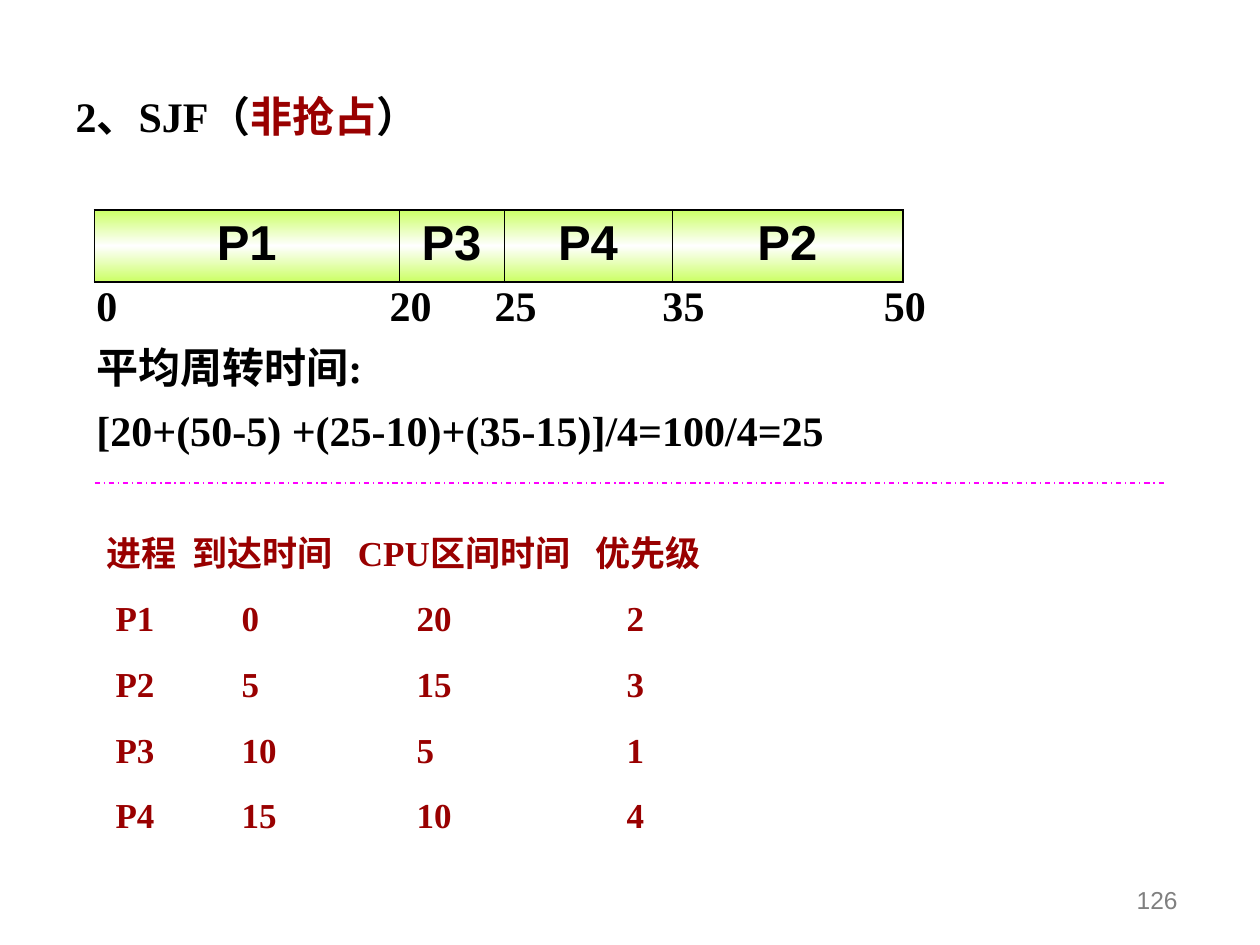
from dataclasses import dataclass
from typing import Any

from lxml import etree
from pptx import Presentation
from pptx.dml.color import RGBColor
from pptx.enum.dml import MSO_LINE
from pptx.enum.shapes import MSO_CONNECTOR
from pptx.enum.text import MSO_ANCHOR, MSO_AUTO_SIZE, PP_ALIGN
from pptx.oxml.ns import qn
from pptx.util import Pt

BLACK = RGBColor(0x00, 0x00, 0x00)
DARK_RED = RGBColor(0x99, 0x00, 0x00)
GRAY = RGBColor(0x80, 0x80, 0x80)
MAGENTA = RGBColor(0xFF, 0x00, 0xFF)
LIME = RGBColor(0xCC, 0xFF, 0x66)
WHITE = RGBColor(0xFF, 0xFF, 0xFF)

LEFT, CENTER, RIGHT = PP_ALIGN.LEFT, PP_ALIGN.CENTER, PP_ALIGN.RIGHT
TOP, BOTTOM = MSO_ANCHOR.TOP, MSO_ANCHOR.BOTTOM
NO_AUTOFIT = MSO_AUTO_SIZE.NONE
STRAIGHT = MSO_CONNECTOR.STRAIGHT
DASH_DOT = MSO_LINE.DASH_DOT

HEADING = {"name": "Times New Roman", "size": Pt(24), "bold": True}
LISTING = {"name": "Times New Roman", "size": Pt(20), "bold": True}
GANTT = {"name": "Arial", "size": Pt(28), "bold": True}
NUMBER = {"name": "Arial", "size": Pt(14), "bold": False}

OUTER_BORDER, INNER_BORDER = 1.08, 0.45


@dataclass(frozen=True)
class Box:
    left: float
    top: float
    width: float
    height: float


@dataclass(frozen=True)
class Line:
    text: str
    tabs: tuple[float, ...] = ()


@dataclass(frozen=True)
class Segment:
    process: str
    width: float


TIME_TABS = (167.5, 227.5, 323.5, 450)
HEADER_TABS = (49, 143.5, 279)
ROW_TABS = (5, 77, 177, 297)

SEGMENTS = (
    Segment("P1", 174),
    Segment("P3", 60),
    Segment("P4", 96),
    Segment("P2", 132),
)
TURNAROUND = (
    Line("0\t20\t25\t35\t50", TIME_TABS),
    Line("平均周转时间:"),
    Line("[20+(50-5) +(25-10)+(35-15)]/4=100/4=25"),
)
PROCESSES = (
    ("P1", 0, 20, 2),
    ("P2", 5, 15, 3),
    ("P3", 10, 5, 1),
    ("P4", 15, 10, 4),
)
PROCESS_LINES = (
    Line("进程\t到达时间\tCPU区间时间\t优先级", HEADER_TABS),
    *(Line("".join(f"\t{value}" for value in row), ROW_TABS) for row in PROCESSES),
)


def add_run(paragraph: Any, text: str, style: dict[str, Any], color: RGBColor) -> None:
    run = paragraph.add_run()
    run.text = text
    for name, value in style.items():
        setattr(run.font, name, value)
    run.font.color.rgb = color


def add_tabs(paragraph: Any, tabs: tuple[float, ...]) -> None:
    tab_list = etree.SubElement(paragraph._p.get_or_add_pPr(), qn("a:tabLst"))
    for position in tabs:
        etree.SubElement(tab_list, qn("a:tab"), pos=str(int(Pt(position))), algn="l")


def place(shape: Any, box: Box) -> None:
    for name in ("left", "top", "width", "height"):
        setattr(shape, name, Pt(getattr(box, name)))


def add_title(slide: Any, box: Box) -> None:
    title = slide.shapes.title
    place(title, box)
    frame = title.text_frame
    settings = {"auto_size": NO_AUTOFIT, "vertical_anchor": TOP, "word_wrap": True}
    for name, value in settings.items():
        setattr(frame, name, value)
    paragraph = frame.paragraphs[0]
    paragraph.alignment = LEFT
    for text, color in (("2、SJF（", BLACK), ("非抢占", DARK_RED), ("）", BLACK)):
        add_run(paragraph, text, HEADING, color)


def add_text(slide: Any, box: Box, lines: tuple[Line, ...], style: dict[str, Any],
             color: RGBColor, gap: float = 0, alignment: Any = LEFT,
             anchor: Any = TOP) -> None:
    shape = slide.shapes.add_textbox(0, 0, 0, 0)
    place(shape, box)
    frame = shape.text_frame
    frame.word_wrap = True
    frame.vertical_anchor = anchor
    for index, line in enumerate(lines):
        paragraph = frame.add_paragraph() if index else frame.paragraphs[0]
        if line.tabs:
            add_tabs(paragraph, line.tabs)
        if index:
            paragraph.space_before = Pt(gap)
        paragraph.alignment = alignment
        add_run(paragraph, line.text, style, color)


def add_solid(parent: Any, color: RGBColor) -> None:
    fill = etree.SubElement(parent, qn("a:solidFill"))
    etree.SubElement(fill, qn("a:srgbClr"), val=str(color))


def format_cell(cell: Any, first: bool, last: bool) -> None:
    properties = cell._tc.get_or_add_tcPr()
    borders = {
        "a:lnL": OUTER_BORDER if first else INNER_BORDER,
        "a:lnR": OUTER_BORDER if last else INNER_BORDER,
        "a:lnT": OUTER_BORDER,
        "a:lnB": OUTER_BORDER,
    }
    for tag, width in borders.items():
        add_solid(etree.SubElement(properties, qn(tag), w=str(int(Pt(width)))), BLACK)
    gradient = etree.SubElement(properties, qn("a:gradFill"))
    stops = etree.SubElement(gradient, qn("a:gsLst"))
    for percent, color in ((0, LIME), (50, WHITE), (100, LIME)):
        stop = etree.SubElement(stops, qn("a:gs"), pos=str(percent * 1000))
        etree.SubElement(stop, qn("a:srgbClr"), val=str(color))
    etree.SubElement(gradient, qn("a:lin"), ang="5400000", scaled="0")


def add_gantt(slide: Any, left: float, top: float, height: float) -> None:
    width = sum(segment.width for segment in SEGMENTS)
    table = slide.shapes.add_table(
        1, len(SEGMENTS), Pt(left), Pt(top), Pt(width), Pt(height)).table
    table.first_row = table.horz_banding = False
    for index, segment in enumerate(SEGMENTS):
        table.columns[index].width = Pt(segment.width)
        cell = table.cell(0, index)
        paragraph = cell.text_frame.paragraphs[0]
        paragraph.alignment = CENTER
        add_run(paragraph, segment.process, GANTT, BLACK)
        format_cell(cell, index == 0, index == len(SEGMENTS) - 1)


def add_divider(slide: Any, left: float, right: float, y: float) -> None:
    divider = slide.shapes.add_connector(STRAIGHT, Pt(left), Pt(y), Pt(right), Pt(y))
    divider.line.color.rgb = MAGENTA
    divider.line.width = Pt(0.75)
    divider.line.dash_style = DASH_DOT
    etree.SubElement(divider._element.spPr, qn("a:effectLst"))


def main() -> None:
    presentation = Presentation()
    presentation.slide_width, presentation.slide_height = Pt(720), Pt(540)
    slide = presentation.slides.add_slide(presentation.slide_layouts[5])
    add_title(slide, Box(36, 48, 270, 36))
    add_gantt(slide, 54, 120, 41)
    add_text(slide, Box(48, 156, 630, 106), TURNAROUND, HEADING, BLACK, gap=7)
    add_divider(slide, 54, 666, 276)
    add_text(slide, Box(54, 300, 366, 177), PROCESS_LINES, LISTING, DARK_RED, gap=13.5)
    add_text(slide, Box(530, 490, 150, 36), (Line("126"),), NUMBER, GRAY,
             alignment=RIGHT, anchor=BOTTOM)
    presentation.save("out.pptx")


if __name__ == "__main__":
    main()
